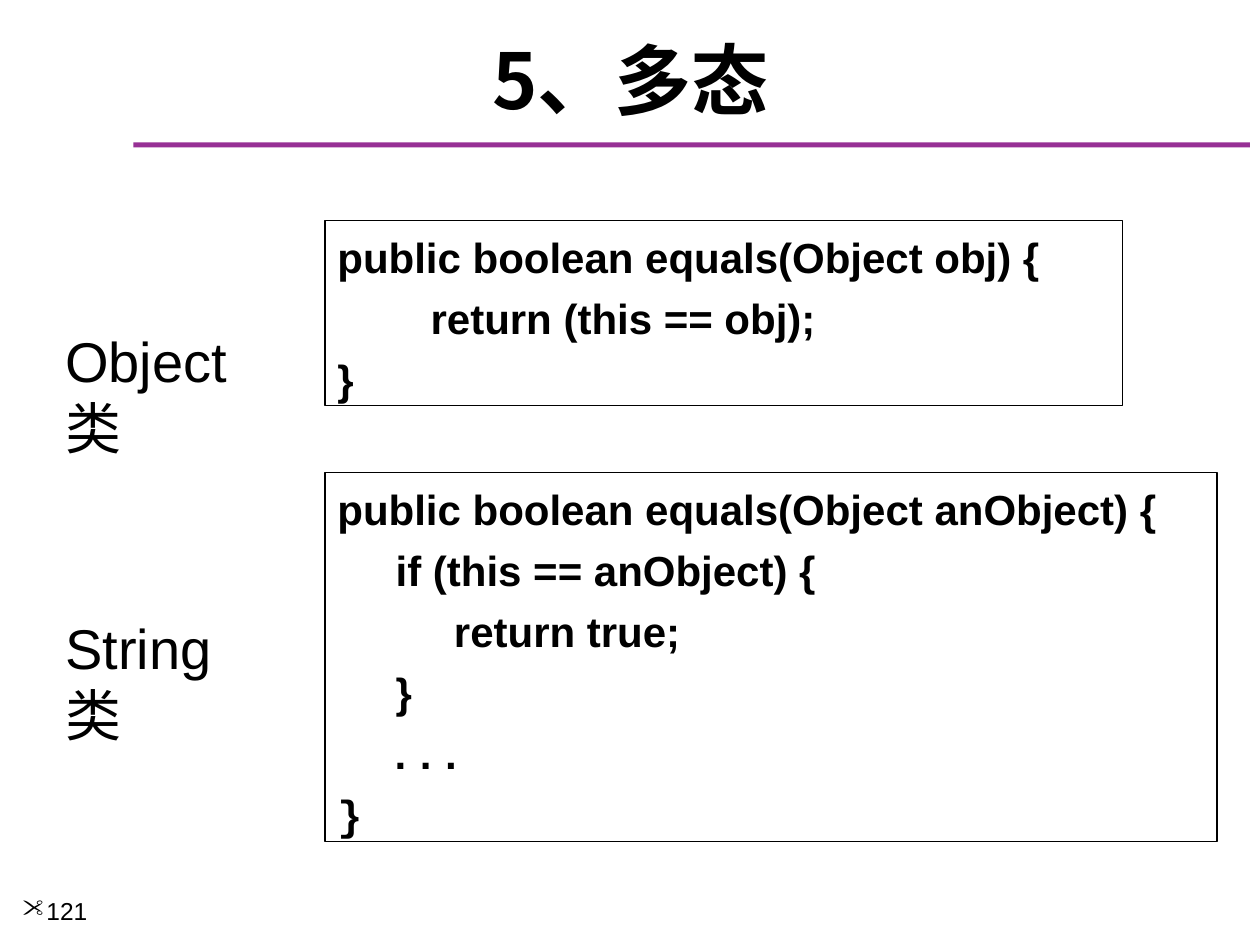
import pptx
import pptx.dml.color
import pptx.enum.shapes
import pptx.enum.text
import pptx.util
from lxml import etree
from pptx.oxml.ns import qn

LEFT_COL, CODE_COL = 0.42, 2.58
OBJECT_CODE = """public boolean equals(Object obj) {
        return (this == obj);
}"""
STRING_CODE = """public boolean equals(Object anObject) {
     if (this == anObject) {
          return true;
     }
  ...
}"""


def color(value):
    return pptx.dml.color.RGBColor.from_string(value)


def inches(*values):
    return [pptx.util.Inches(v) for v in values]


def style(p, size, bold=False, font="Arial"):
    for r in p.runs:
        r.font.name = font
        r.font.size = pptx.util.Pt(size)
        r.font.bold = bold
        r.font.color.rgb = color("000000")


def add_title(s, text):
    title = s.shapes.title
    title.left, title.top, title.width, title.height = inches(0.17, 0.25, 9.67, 0.75)
    tf = title.text_frame
    tf.text = text
    tf.vertical_anchor = pptx.enum.text.MSO_ANCHOR.MIDDLE
    p = tf.paragraphs[0]
    p.alignment = pptx.enum.text.PP_ALIGN.CENTER
    style(p, 44, True, "Noto Sans CJK SC")
    for r in p.runs:
        etree.SubElement(r.font._element, qn("a:ea"), typeface="Noto Sans CJK SC")


def add_box(s, *place):
    sp = s.shapes.add_shape(pptx.enum.shapes.MSO_SHAPE.RECTANGLE, *inches(*place))
    sp.shadow.inherit = False
    sp.fill.background()
    sp.line.fill.background()
    return sp


def add_rule(s):
    sp = add_box(s, 1.06, 1.13, 8.86, 0.04)
    sp.fill.solid()
    sp.fill.fore_color.rgb = color("973095")


def add_code(s, code, top, width, height, mono_from=None):
    sp = add_box(s, CODE_COL, top, width, height)
    sp.line.color.rgb = color("000000")
    sp.line.width = pptx.util.Pt(0.75)
    tf = sp.text_frame
    tf.word_wrap = True
    tf.margin_top = pptx.util.Inches(0.09)
    tf.vertical_anchor = pptx.enum.text.MSO_ANCHOR.TOP
    tf.text = code
    for i, p in enumerate(tf.paragraphs):
        p.alignment = pptx.enum.text.PP_ALIGN.LEFT
        if i:
            p.space_before = pptx.util.Pt(6)
        mono = mono_from is not None and i >= mono_from
        style(p, 24, True, "Courier New" if mono else "Arial")


def add_label(s, text, top):
    tf = s.shapes.add_textbox(*inches(LEFT_COL, top, 1.7, 0.64)).text_frame
    tf.word_wrap = True
    tf.margin_top = pptx.util.Inches(0.09)
    tf.text = text
    style(tf.paragraphs[0], 32)


def add_number(s, text):
    tf = s.shapes.add_textbox(*inches(0.08, 7.06, 1.08, 0.44)).text_frame
    tf.word_wrap = True
    tf.text = text
    p = tf.paragraphs[0]
    pPr = p._p.get_or_add_pPr()
    indent = pptx.util.Inches(0.19)
    pPr.set("marL", str(indent))
    pPr.set("indent", str(-indent))
    etree.SubElement(pPr, qn("a:buFont"), typeface="Wingdings")
    etree.SubElement(pPr, qn("a:buChar"), char='"')
    style(p, 14)


def main():
    prs = pptx.Presentation()
    prs.slide_width, prs.slide_height = inches(10, 7.5)
    s = prs.slides.add_slide(prs.slide_layouts[5])
    add_rule(s)
    add_title(s, "5、多态")
    add_number(s, "121")
    add_code(s, OBJECT_CODE, 1.75, 6.33, 1.47)
    add_code(s, STRING_CODE, 3.75, 7.08, 2.93, mono_from=4)
    add_label(s, "Object类", 2.5)
    add_label(s, "String类", 4.78)
    prs.save("out.pptx")


if __name__ == "__main__":
    main()
